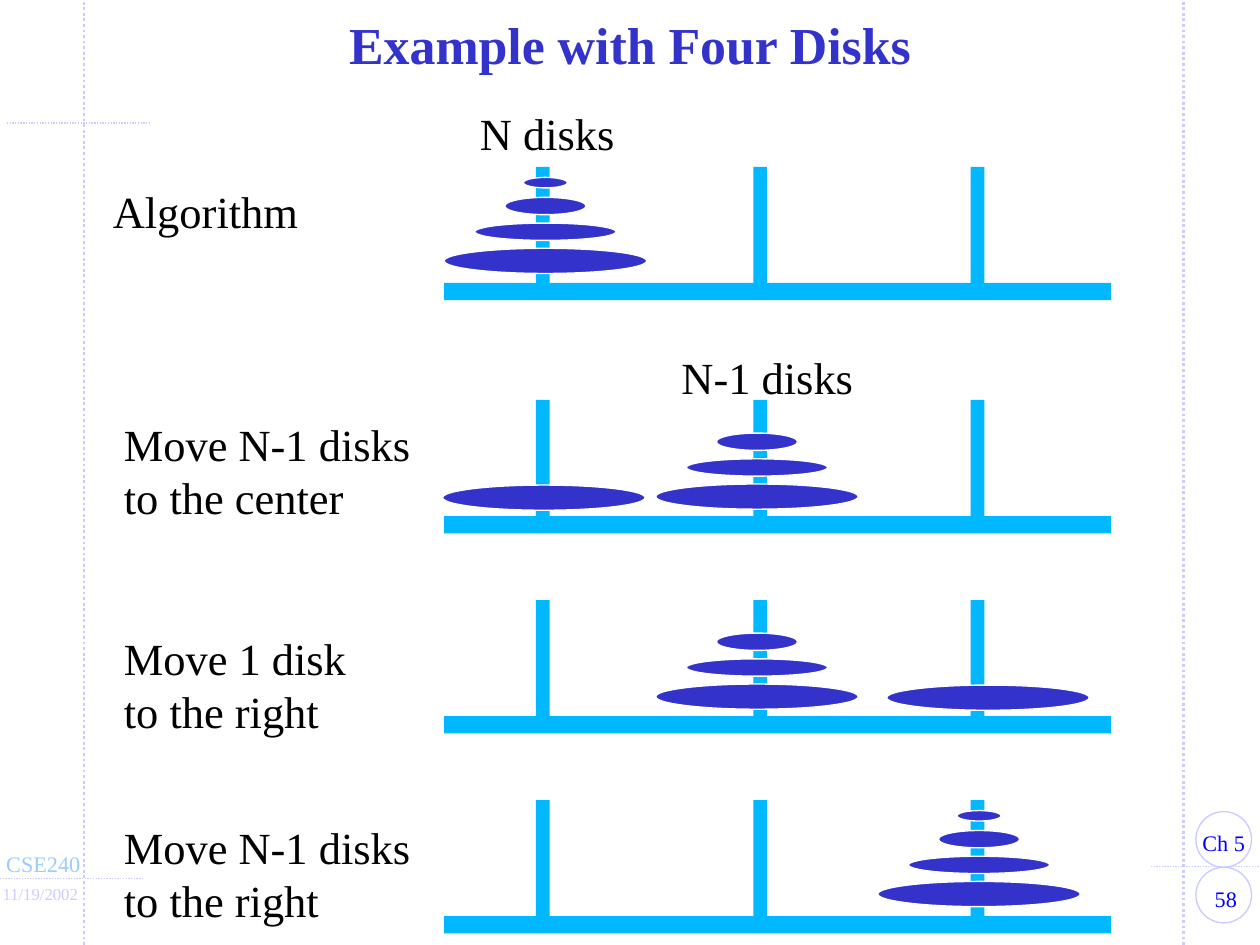
from lxml import etree
from pptx import Presentation
from pptx.dml.color import RGBColor
from pptx.enum import dml, shapes, text
from pptx.oxml import ns
from pptx.util import Cm, Pt

INDIGO = RGBColor(0x33, 0x33, 0xCC)
CYAN = RGBColor(0x00, 0xB8, 0xFF)
LAVENDER = RGBColor(0xCC, 0xCC, 0xFF)
SKY = RGBColor(0x99, 0xCC, 0xFF)
BLUE = RGBColor(0x00, 0x00, 0xFF)
BLACK = RGBColor(0, 0, 0)
WHITE = RGBColor(0xFF, 0xFF, 0xFF)
FONT = "Times New Roman"

WIDTH, HEIGHT = 24, 18  # all lengths below are in cm
PEG_WIDTH, PEG_HEIGHT, PEG_GAP, FIRST_PEG = 0.26, 2.38, 4.14, 1.88
BASE_WIDTH, BASE_HEIGHT, BASE_DROP = 12.7, 0.33, 2.21
# Disks from large to small: width, height, top below the peg's top
DISKS = [(3.86, 0.48, 1.55), (2.69, 0.33, 1.07), (1.55, 0.33, 0.58), (0.84, 0.2, 0.2)]


def set_font(p, size, color, bold=False):
    f = p.font
    f.name, f.size, f.bold = FONT, Pt(size), bold
    f.color.rgb = color


def add_text(s, box, lines, size=24, color=BLACK, align=text.PP_ALIGN.LEFT, wrap=False):
    tf = s.shapes.add_textbox(*map(Cm, box)).text_frame
    tf.word_wrap = wrap
    tf.text = lines
    for p in tf.paragraphs:
        p.alignment = align
        set_font(p, size, color)


def add_shape(parent, kind, box, fill=None, line=None):
    sp = parent.shapes.add_shape(kind, *map(Cm, box))
    sp.shadow.inherit = False
    if fill is None:
        sp.fill.background()
    else:
        sp.fill.solid()
        sp.fill.fore_color.rgb = fill
    if line is None:
        sp.line.fill.background()
    else:
        sp.line.color.rgb = line
        sp.line.width = Pt(0.75)


def add_dotted_line(s, x1, y1, x2, y2, width):
    c = s.shapes.add_connector(shapes.MSO_CONNECTOR.STRAIGHT, *map(Cm, (x1, y1, x2, y2)))
    c.line.color.rgb = LAVENDER
    c.line.width = Pt(width)
    c.line.dash_style = dml.MSO_LINE.ROUND_DOT
    etree.SubElement(c._element.spPr, ns.qn("a:effectLst"))


def add_frame(s, width, height):
    # Margin rules and short ticks
    for x in (1.6, width - 1.45):
        add_dotted_line(s, x, height, x, 0, 1.5)
    for x1, x2, y in ((0.13, 2.87, 2.34), (0, 2.74, 16.74), (21.92, width, 16.51)):
        add_dotted_line(s, x1, y, x2, y, 0.75)
    # Chapter and page circles
    for i, (label, x) in enumerate((("Ch 5", 22.62), ("58", 22.66))):
        y = 15.46 + i * 1.06
        add_shape(s, shapes.MSO_SHAPE.OVAL, (22.78, y, 1.06, 1.06), line=LAVENDER)
        add_text(s, (x, y + 0.21, 1.38, 0.76), label, 12, BLUE, text.PP_ALIGN.CENTER)
    # Course and date
    add_text(s, (-0.13, 16.08, 1.93, 0.76), "CSE240", 12, SKY)
    add_text(s, (-0.2, 16.71, 1.96, 0.64), "11/19/2002", 9, LAVENDER)


def add_title(s, box, title):
    sp = s.shapes.title
    sp.left, sp.top, sp.width, sp.height = map(Cm, box)
    tf = sp.text_frame
    tf.text = title
    tf.auto_size = text.MSO_AUTO_SIZE.NONE
    tf.vertical_anchor = text.MSO_ANCHOR.MIDDLE
    p = tf.paragraphs[0]
    p.alignment = text.PP_ALIGN.CENTER
    p.line_spacing = 0.85
    set_font(p, 28, INDIGO, bold=True)


def add_stack(s, center, top, disks):
    parent = s.shapes.add_group_shape() if len(disks) > 1 else s
    for width, height, drop in disks:
        add_shape(parent, shapes.MSO_SHAPE.OVAL,
                  (center - width / 2, top + drop, width, height), INDIGO, WHITE)


def add_towers(s, left, top, stacks):
    """Draw a base with three pegs; stacks hold peg, disks, x shift and y shift."""
    add_shape(s, shapes.MSO_SHAPE.RECTANGLE,
              (left, top + BASE_DROP, BASE_WIDTH, BASE_HEIGHT), CYAN)
    centers = [left + FIRST_PEG + i * PEG_GAP for i in range(3)]
    for center in centers:
        add_shape(s, shapes.MSO_SHAPE.RECTANGLE,
                  (center - PEG_WIDTH / 2, top, PEG_WIDTH, PEG_HEIGHT), CYAN)
    for peg, disks, dx, dy in stacks:
        add_stack(s, centers[peg] + dx, top + dy, disks)


def main():
    prs = Presentation()
    prs.slide_width, prs.slide_height = Cm(WIDTH), Cm(HEIGHT)
    s = prs.slides.add_slide(prs.slide_layouts[5])
    add_frame(s, WIDTH, HEIGHT)
    add_title(s, (1.75, 0.2, 20.5, 1.47), "Example with Four Disks")

    # Steps: towers' top, label position and text, stacks
    center_stack = (1, DISKS[:3], -0.06, 0.05)
    steps = [
        (3.18, 1.9, 3.38, "Algorithm", [(0, DISKS, 0.05, 0)]),
        (7.62, 2.11, 7.82, "Move N-1 disks\nto the center",
         [center_stack, (0, DISKS[:1], 0.02, 0.07)]),
        (11.43, 2.11, 11.89, "Move 1 disk\nto the right",
         [center_stack, (2, DISKS[:1], 0.2, 0.07)]),
        (15.24, 2.11, 15.49, "Move N-1 disks\nto the right", [(2, DISKS, 0.03, 0)]),
    ]
    for top, label_left, label_top, label, stacks in steps:
        add_towers(s, 8.46, top, stacks)
        add_text(s, (label_left, label_top, 5.97, 1.27), label)

    # Counts above the stacks
    add_text(s, (8.89, 1.9, 3.07, 1.27), "N disks")
    add_text(s, (12.73, 6.55, 3.78, 1.27), "N-1 disks")
    prs.save("out.pptx")


if __name__ == "__main__":
    main()
